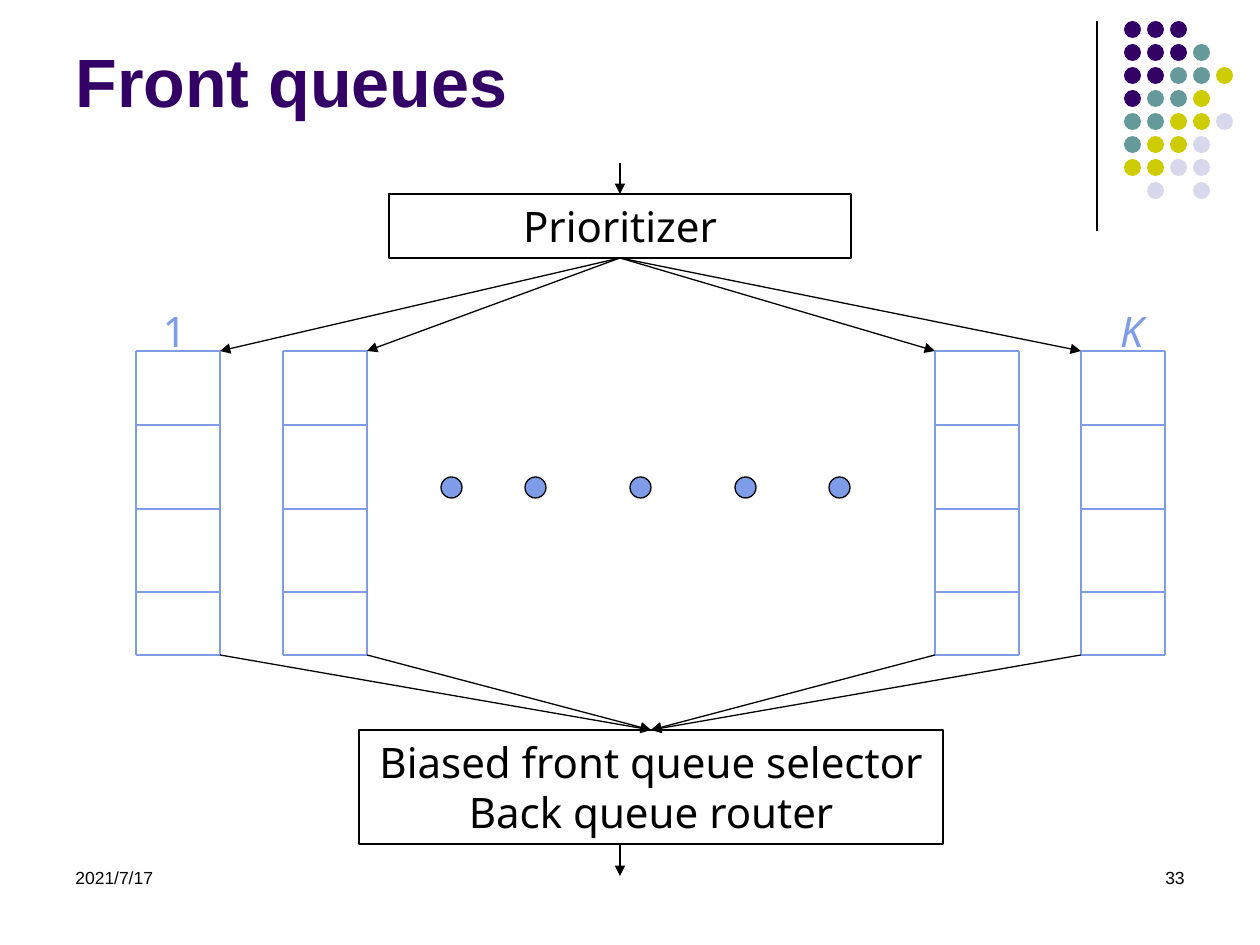
from lxml import etree
from pptx import Presentation
from pptx import util as u
from pptx.dml.color import RGBColor
from pptx.enum import shapes, text
from pptx.oxml.ns import qn

PX = 914400 / 126
BLACK, BLUE, PURPLE = "000000", "7E9CE8", "330066"
LEFT, CENTER, RIGHT = text.PP_ALIGN.LEFT, text.PP_ALIGN.CENTER, text.PP_ALIGN.RIGHT
TOP, MIDDLE, BOTTOM = text.MSO_ANCHOR.TOP, text.MSO_ANCHOR.MIDDLE, text.MSO_ANCHOR.BOTTOM


def px(*values):
    return [u.Emu(round(v * PX)) for v in values]


def color(value):
    return RGBColor.from_string(value)


class Slide:
    line_width = u.Pt(0.75)

    def __init__(self, prs):
        self.s = prs.slides.add_slide(prs.slide_layouts[6])

    def set_text(self, sp, words, size, font="Noto Sans", fill=BLACK, align=LEFT,
                 anchor=TOP, wrap=True, bold=False, italic=False):
        tf = sp.text_frame
        tf.text = words
        tf.word_wrap = wrap
        tf.vertical_anchor = anchor
        for p in tf.paragraphs:
            p.alignment = align
            for r in p.runs:
                r.font.name, r.font.size = font, u.Pt(size)
                r.font.bold, r.font.italic = bold, italic
                r.font.color.rgb = color(fill)

    def label(self, words, box, size, **style):
        self.set_text(self.s.shapes.add_textbox(*px(*box)), words, size, **style)

    def shape(self, kind, box, fill=None, line=None):
        sp = self.s.shapes.add_shape(kind, *px(*box))
        sp.shadow.inherit = False
        if fill:
            sp.fill.solid()
            sp.fill.fore_color.rgb = color(fill)
        else:
            sp.fill.background()
        if line:
            sp.line.color.rgb = color(line)
            sp.line.width = self.line_width
        else:
            sp.line.fill.background()
        return sp

    def box(self, words, box, **style):
        sp = self.shape(shapes.MSO_SHAPE.RECTANGLE, box, line=BLACK)
        self.set_text(sp, words, 24, align=CENTER, **style)
        return sp

    def dot(self, x, y, size, fill, line=None):
        self.shape(shapes.MSO_SHAPE.OVAL, (x, y, size, size), fill, line)

    def line(self, start, end, fill=BLACK):
        c = self.s.shapes.add_connector(shapes.MSO_CONNECTOR.STRAIGHT, *px(*start, *end))
        c.line.color.rgb = color(fill)
        c.line.width = self.line_width
        etree.SubElement(c.element.spPr, qn("a:effectLst"))
        return c

    def arrow(self, start, end, source=None, target=None):
        c = self.line(start, end)
        etree.SubElement(c.element.spPr.find(qn("a:ln")), qn("a:tailEnd"), type="triangle")
        if source:
            c.begin_connect(source, 2)
        if target:
            c.end_connect(target, 0)

    def queue(self, x, width, levels):
        for y in levels:
            self.line((x, y), (x + width, y), BLUE)
        for side in (x, x + width):
            self.line((side, levels[0]), (side, levels[-1]), BLUE)


def main():
    prs = Presentation()
    prs.slide_width, prs.slide_height = px(1260, 945)
    s = Slide(prs)

    s.line((1097, 21), (1097, 231))
    palette = {"P": PURPLE, "T": "669999", "Y": "CCCC00", "L": "D8D8EC"}
    pattern = ["PPP", "PPPT", "PPTTY", "PTTY", "TTYYL", "TYYL", "YYLL", " L L"]
    for row, keys in enumerate(pattern):
        for col, key in enumerate(keys):
            if key in palette:
                s.dot(1124 + 23 * col, 21 + 23 * row, 17, palette[key])

    s.label("2021/7/17", (63, 861, 294, 63), 10, font="Arial")
    s.label("33", (903, 861, 294, 63), 10, font="Arial", align=RIGHT)
    s.label("Front queues", (63, -52, 1040, 179), 39, font="Arial", fill=PURPLE,
            anchor=BOTTOM, bold=True)

    prioritizer = s.box("Prioritizer", (389, 194, 462, 64))
    selector = s.box("Biased front queue selector\nBack queue router",
                     (359, 730, 584, 114), anchor=MIDDLE, wrap=False)
    s.arrow((620, 163), (620, 194), target=prioritizer)
    s.arrow((620, 844), (620, 876))

    width, levels = 84, [351, 425, 509, 592, 655]
    for x, inner in ((136, width), (283, width), (935, 0), (1081, 0)):
        s.queue(x, width, levels)
        s.arrow((620, 258), (x + inner, levels[0]), source=prioritizer)
        s.arrow((x + inner, levels[-1]), (651, 730), target=selector)

    for x in (441, 525, 630, 735, 829):
        s.dot(x, 477, 21, BLUE, BLACK)
    for name, x, italic in (("1", 147, False), ("K", 1104, True)):
        s.label(name, (x, 299, 52, 63), 24, fill=BLUE, align=RIGHT, wrap=False,
                italic=italic)

    prs.save("out.pptx")


if __name__ == "__main__":
    main()
